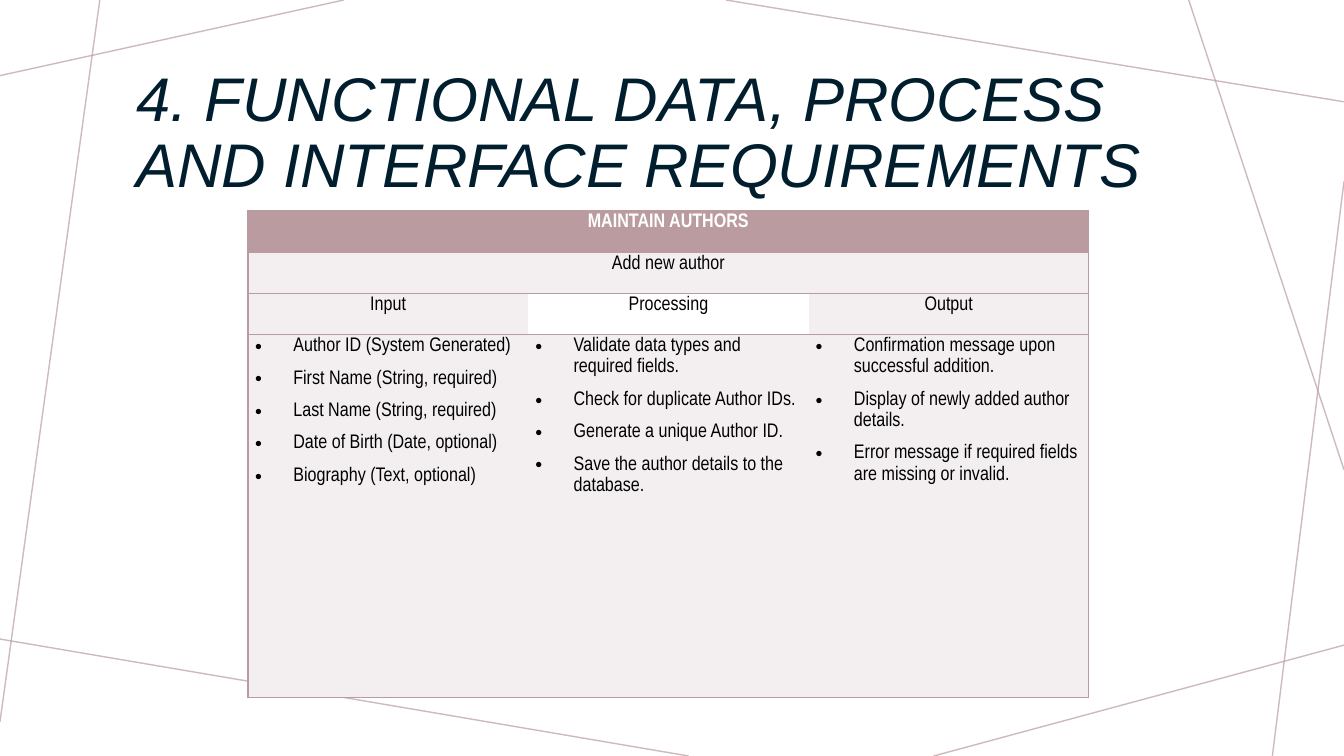
from lxml.etree import SubElement
from pptx import Presentation
from pptx.dml.color import RGBColor
from pptx.enum.text import MSO_ANCHOR, MSO_AUTO_SIZE, PP_ALIGN
from pptx.oxml.ns import qn
from pptx.util import Inches, Pt

COLORS = {"rose": "BA9CA0", "pale": "F3EFF0", "white": "FFFFFF", "black": "000000", "navy": "001E2E"}

BACKDROP_LINES = [
    (3.41, 0, 0, 0.75),
    (0.99, 0, 0, 7.16),
    (6.83, 7.5, 0, 6.34),
    (13.33, 6.4, 9.26, 7.5),
    (13.33, 1.8, 12.62, 7.5),
    (13.33, 4.66, 11.79, 0),
    (13.33, 1.01, 7.2, 0),
]
TITLE = "4. FUNCTIONAL DATA, PROCESS AND INTERFACE REQUIREMENTS"
BANNERS = ["MAINTAIN AUTHORS", "Add new author"]
COLUMNS = {
    "Input": [
        "Author ID (System Generated)",
        "First Name (String, required)",
        "Last Name (String, required)",
        "Date of Birth (Date, optional)",
        "Biography (Text, optional)",
    ],
    "Processing": [
        "Validate data types and required fields.",
        "Check for duplicate Author IDs.",
        "Generate a unique Author ID.",
        "Save the author details to the database.",
    ],
    "Output": [
        "Confirmation message upon successful addition.",
        "Display of newly added author details.",
        "Error message if required fields are missing or invalid.",
    ],
}
ROW_HEIGHTS = [0.41, 0.41, 0.41, 3.6]


def rgb(name):
    """Return a palette colour."""
    return RGBColor.from_string(COLORS[name])


def add_backdrop_line(page, x1, y1, x2, y2):
    """Draw one thin translucent line."""
    line = page.shapes.add_connector(1, Inches(x1), Inches(y1), Inches(x2), Inches(y2))
    line.line.width = Pt(1)
    line.line.color.rgb = rgb("rose")
    fill_color = line.line._ln.find(f".//{qn('a:srgbClr')}")
    SubElement(fill_color, qn("a:alpha"), val="70000")
    SubElement(line._element.spPr, qn("a:effectLst"))


def add_span(para, text, font, size, color, bold=False, italic=False):
    """Add one formatted run."""
    span = para.add_run()
    span.text = text
    span.font.name = font
    span.font.size = Pt(size)
    span.font.color.rgb = rgb(color)
    span.font.bold = bold
    span.font.italic = italic


def set_title(page):
    """Place and format the title."""
    box = page.shapes.title
    box.left, box.top, box.width, box.height = map(Inches, (1.25, 0.58, 10.83, 1.51))
    frame = box.text_frame
    frame.word_wrap = True
    frame.auto_size = MSO_AUTO_SIZE.NONE
    frame.vertical_anchor = MSO_ANCHOR.MIDDLE
    para = frame.paragraphs[0]
    para.alignment = PP_ALIGN.LEFT
    para.line_spacing = 0.9
    add_span(para, TITLE, "Arial", 44, "navy", italic=True)


def set_borders(cell, visible):
    """Draw the listed sides of a cell and hide the others."""
    properties = cell._tc.get_or_add_tcPr()
    for side in "LRTB":
        border = SubElement(properties, qn(f"a:ln{side}"), w=str(Pt(1)))
        if side in visible:
            fill = SubElement(border, qn("a:solidFill"))
            SubElement(fill, qn("a:srgbClr"), val=COLORS["rose"])
        else:
            SubElement(border, qn("a:noFill"))


def add_bullet(para):
    """Give a paragraph a hanging bullet."""
    properties = para._p.get_or_add_pPr()
    properties.set("marL", str(Inches(0.38)))
    properties.set("indent", str(-Inches(0.38)))
    SubElement(properties, qn("a:buFont"), typeface="Arial")
    SubElement(properties, qn("a:buChar"), char="•")
    tabs = SubElement(properties, qn("a:tabLst"))
    SubElement(tabs, qn("a:tab"), pos=str(Inches(0.5)), algn="l")


def fill_cell(cell, texts, color="black", bold=False, bulleted=False):
    """Write the paragraphs of a cell."""
    cell.margin_left = cell.margin_right = Inches(0.07)
    cell.margin_top = cell.margin_bottom = 0
    frame = cell.text_frame
    for index, text in enumerate(texts):
        para = frame.add_paragraph() if index else frame.paragraphs[0]
        if bulleted:
            add_bullet(para)
        para.alignment = PP_ALIGN.LEFT if bulleted else PP_ALIGN.CENTER
        para.line_spacing = 1.15
        para.space_after = Pt(8)
        add_span(para, text, "Arial Narrow", 14, color, bold)


def add_requirements_table(page):
    """Build the table of inputs, processing and outputs."""
    frame = page.shapes.add_table(
        len(ROW_HEIGHTS), len(COLUMNS), Inches(2.46), Inches(2.09), Inches(8.34), Inches(sum(ROW_HEIGHTS))
    )
    table = frame.table
    for row, height in zip(table.rows, ROW_HEIGHTS):
        row.height = Inches(height)
    last = len(COLUMNS) - 1
    for row in range(len(ROW_HEIGHTS)):
        for column in range(len(COLUMNS)):
            cell = table.cell(row, column)
            merged = row < len(BANNERS)
            left = "L" if merged or column == 0 else ""
            right = "R" if merged or column == last else ""
            set_borders(cell, "TB" + left + right)
            fill = {(0, column): "rose", (2, 1): "white"}.get((row, column), "pale")
            cell.fill.solid()
            cell.fill.fore_color.rgb = rgb(fill)
    for row, text in enumerate(BANNERS):
        table.cell(row, 0).merge(table.cell(row, last))
        fill_cell(table.cell(row, 0), [text], "black" if row else "white", bold=row == 0)
    for column, (heading, items) in enumerate(COLUMNS.items()):
        fill_cell(table.cell(2, column), [heading])
        fill_cell(table.cell(3, column), items, bulleted=True)


def main():
    """Build and save the deck."""
    deck = Presentation()
    deck.slide_width, deck.slide_height = Inches(13.33), Inches(7.5)
    page = deck.slides.add_slide(deck.slide_layouts[5])
    page.background.fill.solid()
    page.background.fill.fore_color.rgb = rgb("white")
    for ends in BACKDROP_LINES:
        add_backdrop_line(page, *ends)
    set_title(page)
    add_requirements_table(page)
    deck.save("out.pptx")


if __name__ == "__main__":
    main()
